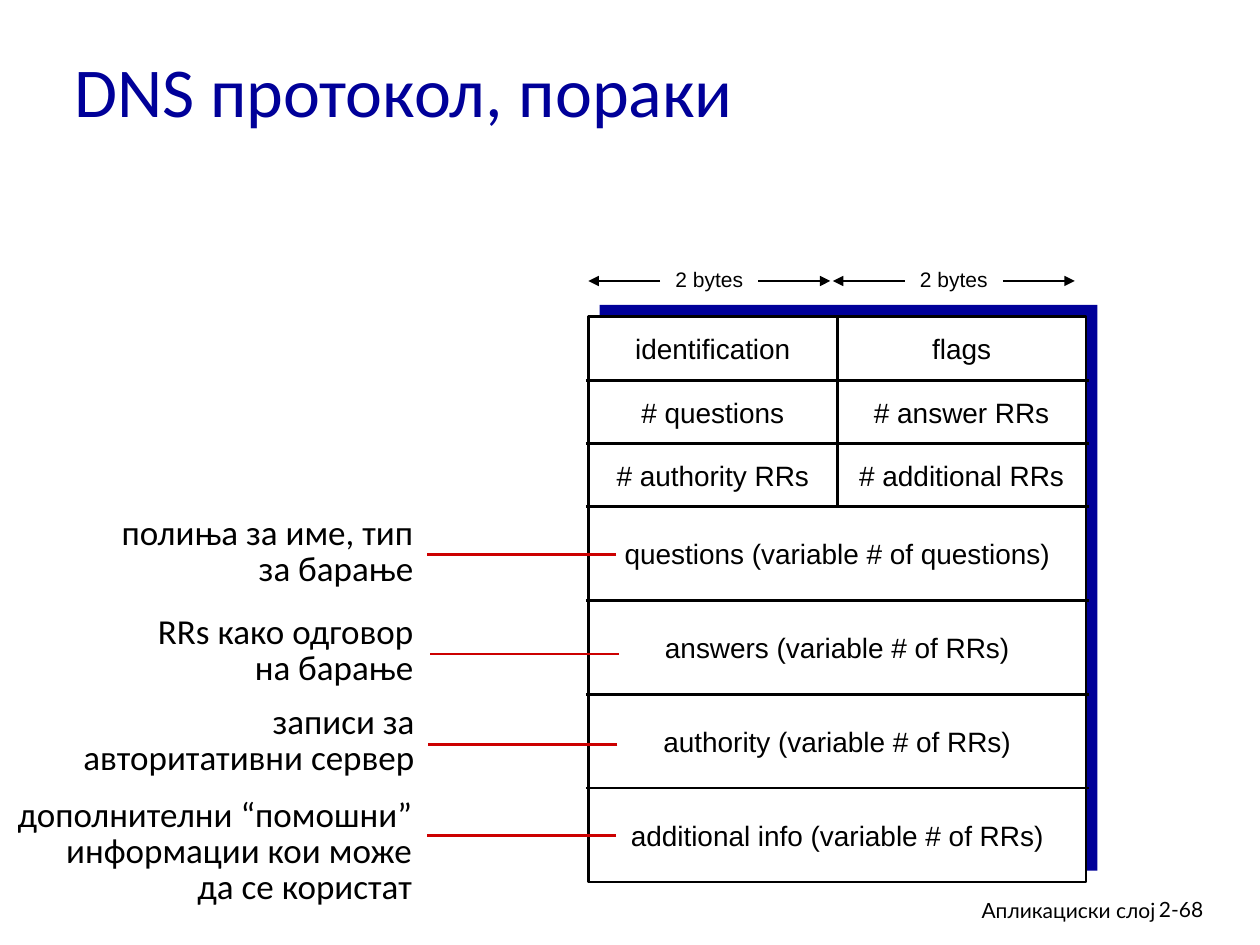
from dataclasses import dataclass
from lxml import etree
from pptx import Presentation
from pptx.dml.color import RGBColor
from pptx.enum.shapes import MSO_CONNECTOR, MSO_SHAPE
from pptx.enum.text import MSO_ANCHOR, PP_ALIGN
from pptx.oxml.ns import qn
from pptx.util import Inches, Pt

LEFT, MID, RIGHT = PP_ALIGN.LEFT, PP_ALIGN.CENTER, PP_ALIGN.RIGHT
TOP, CENTER = MSO_ANCHOR.TOP, MSO_ANCHOR.MIDDLE
RECT, LINE = MSO_SHAPE.RECTANGLE, MSO_CONNECTOR.STRAIGHT


@dataclass
class Theme:
    navy: RGBColor = RGBColor(0x00, 0x00, 0x99)
    red: RGBColor = RGBColor(0xCC, 0x00, 0x00)
    black: RGBColor = RGBColor(0x00, 0x00, 0x00)
    white: RGBColor = RGBColor(0xFF, 0xFF, 0xFF)
    head: int = 40
    note: int = 20
    cell: int = 16
    small: int = 12
    rule: float = 1.5
    thin: float = 0.75


theme = Theme()
deck = Presentation()
deck.slide_width, deck.slide_height = Inches(10), Inches(7.5)
COL, ROW = deck.slide_width / 100, deck.slide_height / 75
slide = deck.slides.add_slide(deck.slide_layouts[6])
shapes = slide.shapes


def write(lines, x, y, w, h, size, face, align=LEFT, anchor=TOP,
          wrap=False, color=theme.black, pitch=1.0):
    box = shapes.add_textbox(int(x * COL), int(y * ROW), int(w * COL), int(h * ROW))
    frame = box.text_frame
    frame.word_wrap = wrap
    frame.vertical_anchor = anchor
    frame.text = "\n".join(lines)
    for para in frame.paragraphs:
        para.alignment = align
        para.line_spacing = pitch
        para.font.size = Pt(size)
        para.font.name = face
        para.font.color.rgb = color


def draw(x1, y1, x2, y2, color=theme.black, width=theme.rule, arrow=False):
    link = shapes.add_connector(LINE, int(x1 * COL), int(y1 * ROW),
                                int(x2 * COL), int(y2 * ROW))
    link.line.color.rgb = color
    link.line.width = Pt(width)
    if arrow:
        etree.SubElement(link.line._get_or_add_ln(), qn("a:tailEnd"), type="triangle")
    etree.SubElement(link._element.spPr, qn("a:effectLst"))


write(["Апликациски слој"], 61, 70.7, 31.7, 3.1, theme.small, "Lato", RIGHT, wrap=True)
write(["2-68"], 91, 70.7, 7.4, 3, theme.small, "Lato", wrap=True)

notes = [
    (["полиња за име, тип", "за барање"], 8.4, 40.5, 25.4, 6.7),
    (["RRs како одговор на барање"], 10.1, 48.4, 23.7, 6.7),
    (["записи за", "авторитативни сервер"], 5.2, 55.5, 28.7, 6.7),
    (["дополнителни “помошни”", "информации кои може", "да се користат"],
     -0.5, 62.9, 34.2, 9.6),
]
for lines, *area in notes:
    write(lines, *area, theme.note, "Calibri", RIGHT, CENTER,
          wrap=len(lines) == 1, pitch=0.85)

left, top, wide, tall = 46.7, 25.1, 39.5, 44.9
half = wide / 2
for x, y, fill in [(left + 0.9, top - 0.9, theme.navy), (left, top, theme.white)]:
    panel = shapes.add_shape(RECT, int(x * COL), int(y * ROW),
                             int(wide * COL), int(tall * ROW))
    panel.shadow.inherit = False
    panel.fill.solid()
    panel.fill.fore_color.rgb = fill
    if fill == theme.white:
        panel.line.color.rgb = theme.black
        panel.line.width = Pt(theme.rule)
    else:
        panel.line.fill.background()

table = [
    (5.1, [("identification", 14.3), ("flags", 6.7)]),
    (5, [("# questions", 13.4), ("# answer RRs", 16)]),
    (5, [("# authority RRs", 17.3), ("# additional RRs", 18.3)]),
    (7.45, [("questions (variable # of questions)", 35.9)]),
    (7.45, [("answers (variable # of RRs)", 29.4)]),
    (7.45, [("authority (variable # of RRs)", 29.7)]),
    (7.45, [("additional info (variable # of RRs)", 34.8)]),
]
y = top
for high, cells in table:
    if y > top:
        draw(left - 0.2, y, left + wide + 0.2, y)
    span = wide / len(cells)
    for i, (label, w) in enumerate(cells):
        x = left + span * (i + 0.5) - w / 2
        write([label], x, y + high / 2 - 1.8, w, 3.7, theme.cell, "Arial", MID)
    if len(cells) == 2:
        draw(left + half, y, left + half, y + high)
    y += high

for x, y in [(48.9, 44), (49.1, 51.9), (49, 59.1), (48.9, 66.3)]:
    draw(x, y, x - 15, y, theme.red)

write(["DNS протокол, пораки"], 4.9, 2.4, 85, 9.4, theme.head, "Calibri",
      anchor=CENTER, wrap=True, color=theme.navy)

for mid in (56.3, 75.7):
    write(["2 bytes"], mid - 3.7, 20.7, 7.4, 3, theme.small, "Arial", MID)
    for side in (1, -1):
        draw(mid + side * 3.9, 22.3, mid + side * 9.6, 22.3, width=theme.thin, arrow=True)

deck.save("out.pptx")
